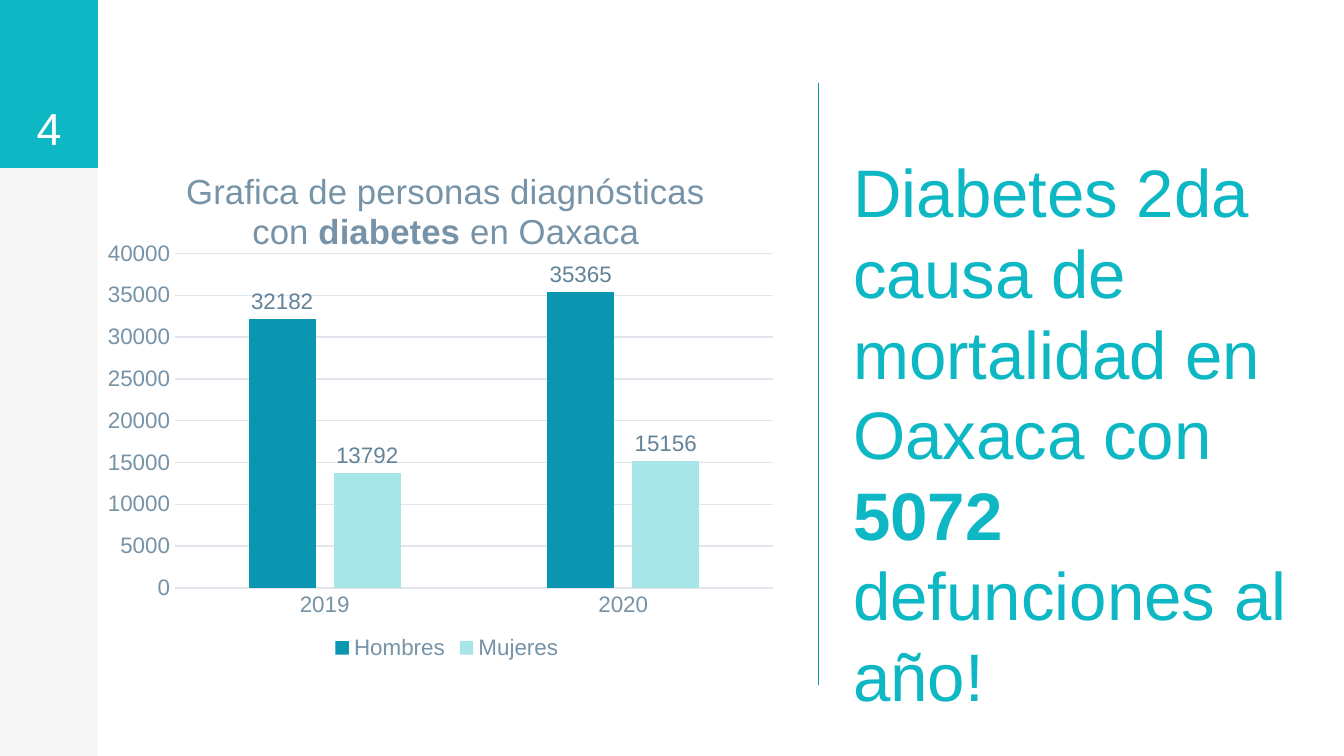
"""Build the slide on diabetes diagnoses and deaths in Oaxaca."""
from lxml import etree
from pptx import Presentation
from pptx.chart import data
from pptx.dml import color
from pptx.enum import chart as ch, shapes, text
from pptx.oxml import ns
from pptx.util import Inches, Pt

FONT = "Arial"
TURQUOISE, BLUE, GREY = "0DB7C4", "0694B0", "7793A7"
GRID = "E0E6EB"
WIDTH = 10
HEIGHT = WIDTH * 9 / 16
BANDS = [((0, 0, 0.73, HEIGHT), "F6F6F6"), ((0, 0, 0.73, 1.25), TURQUOISE)]
MESSAGE = [
    ("Diabetes 2da causa de mortalidad en Oaxaca con ", False),
    ("5072", True),
    (" defunciones al año!", False),
]
NUMBER = [("4", False)]
CHART_TITLE = [
    ("Grafica de personas diagnósticas con ", False),
    ("diabetes", True),
    (" en Oaxaca", False),
]
YEARS = ["2019", "2020"]
CASES = [
    ("Hombres", (32182, 35365), "0A95B0"),
    ("Mujeres", (13792, 15156), "A7E5E9"),
]
PLOT_AREA = {"x": 0.1, "y": 0.2, "w": 0.88, "h": 0.65}
TITLE_SPOT = {"x": 0.11, "y": 0.03}


def rgb(value):
    return color.RGBColor.from_string(value)


def style_font(font, size, value):
    font.name, font.size = FONT, Pt(size)
    font.color.rgb = rgb(value)


def write(paragraph, runs, size, value):
    style_font(paragraph.font, size, value)
    for words, bold in runs:
        run = paragraph.add_run()
        run.text = words
        run.font.bold = bold


def add_words(slide, place, runs, size, value, anchor, align):
    frame = slide.shapes.add_textbox(*map(Inches, place)).text_frame
    frame.word_wrap = True
    frame.vertical_anchor = anchor
    frame.margin_left = frame.margin_right = Inches(0.1)
    frame.margin_top = frame.margin_bottom = Inches(0.1)
    paragraph = frame.paragraphs[0]
    paragraph.alignment = align
    write(paragraph, runs, size, value)


def place_part(part, spot, inner=False):
    for old in part.findall(ns.qn("c:layout")):
        part.remove(old)
    layout = etree.Element(ns.qn("c:layout"))
    manual = etree.SubElement(layout, ns.qn("c:manualLayout"))
    settings = [("layoutTarget", "inner")] if inner else []
    settings += [("xMode", "edge"), ("yMode", "edge"), *spot.items()]
    for tag, value in settings:
        etree.SubElement(manual, ns.qn(f"c:{tag}")).set("val", str(value))
    words = part.find(ns.qn("c:tx"))
    part.insert(0 if words is None else 1, layout)


def add_cases_chart(slide):
    table = data.CategoryChartData()
    table.categories = YEARS
    for name, values, _ in CASES:
        table.add_series(name, values)
    place = map(Inches, (0.8, 1.12, 5.05, 3.83))
    chart = slide.shapes.add_chart(
        ch.XL_CHART_TYPE.COLUMN_CLUSTERED, *place, table).chart
    style_font(chart.font, 10, "415665")

    title = chart.chart_title
    write(title.text_frame.paragraphs[0], CHART_TITLE, 18.6, GREY)
    place_part(chart.element.find(".//" + ns.qn("c:title")), TITLE_SPOT)
    place_part(chart.element.find(".//" + ns.qn("c:plotArea")), PLOT_AREA, True)

    chart.has_legend = True
    chart.legend.position = ch.XL_LEGEND_POSITION.BOTTOM
    chart.legend.include_in_layout = False
    style_font(chart.legend.font, 12, GREY)

    years, counts = chart.category_axis, chart.value_axis
    for axis in (years, counts):
        axis.major_tick_mark = axis.minor_tick_mark = ch.XL_TICK_MARK.NONE
        style_font(axis.tick_labels.font, 12, GREY)
    counts.minimum_scale, counts.maximum_scale, counts.major_unit = 0, 40000, 5000
    counts.format.line.fill.background()
    for line in (years.format.line, counts.major_gridlines.format.line):
        line.color.rgb, line.width = rgb(GRID), Pt(0.75)

    plot = chart.plots[0]
    plot.gap_width, plot.overlap, plot.vary_by_categories = 219, -27, False
    for series, (_, _, fill) in zip(plot.series, CASES):
        series.format.fill.solid()
        series.format.fill.fore_color.rgb = rgb(fill)
        labels = series.data_labels
        labels.show_value = True
        labels.position = ch.XL_LABEL_POSITION.OUTSIDE_END
        style_font(labels.font, 12, "638399")


def main():
    deck = Presentation()
    deck.slide_width, deck.slide_height = Inches(WIDTH), Inches(HEIGHT)
    slide = deck.slides.add_slide(deck.slide_layouts[6])

    for place, fill in BANDS:
        band = slide.shapes.add_shape(
            shapes.MSO_SHAPE.RECTANGLE, *map(Inches, place))
        band.shadow.inherit = False
        band.fill.solid()
        band.fill.fore_color.rgb = rgb(fill)
        band.line.fill.background()

    add_words(slide, (6.25, 1.02, 3.49, 3.85), MESSAGE, 36, TURQUOISE,
              text.MSO_ANCHOR.TOP, text.PP_ALIGN.LEFT)
    add_words(slide, BANDS[1][0], NUMBER, 24, "FFFFFF",
              text.MSO_ANCHOR.BOTTOM, text.PP_ALIGN.CENTER)

    divider = slide.shapes.add_connector(
        shapes.MSO_CONNECTOR.STRAIGHT, *map(Inches, (6.09, 0.62, 6.09, 5.1)))
    divider.line.color.rgb, divider.line.width = rgb(BLUE), Pt(0.75)
    etree.SubElement(divider.element.spPr, ns.qn("a:effectLst"))

    add_cases_chart(slide)
    deck.save("out.pptx")


if __name__ == "__main__":
    main()
